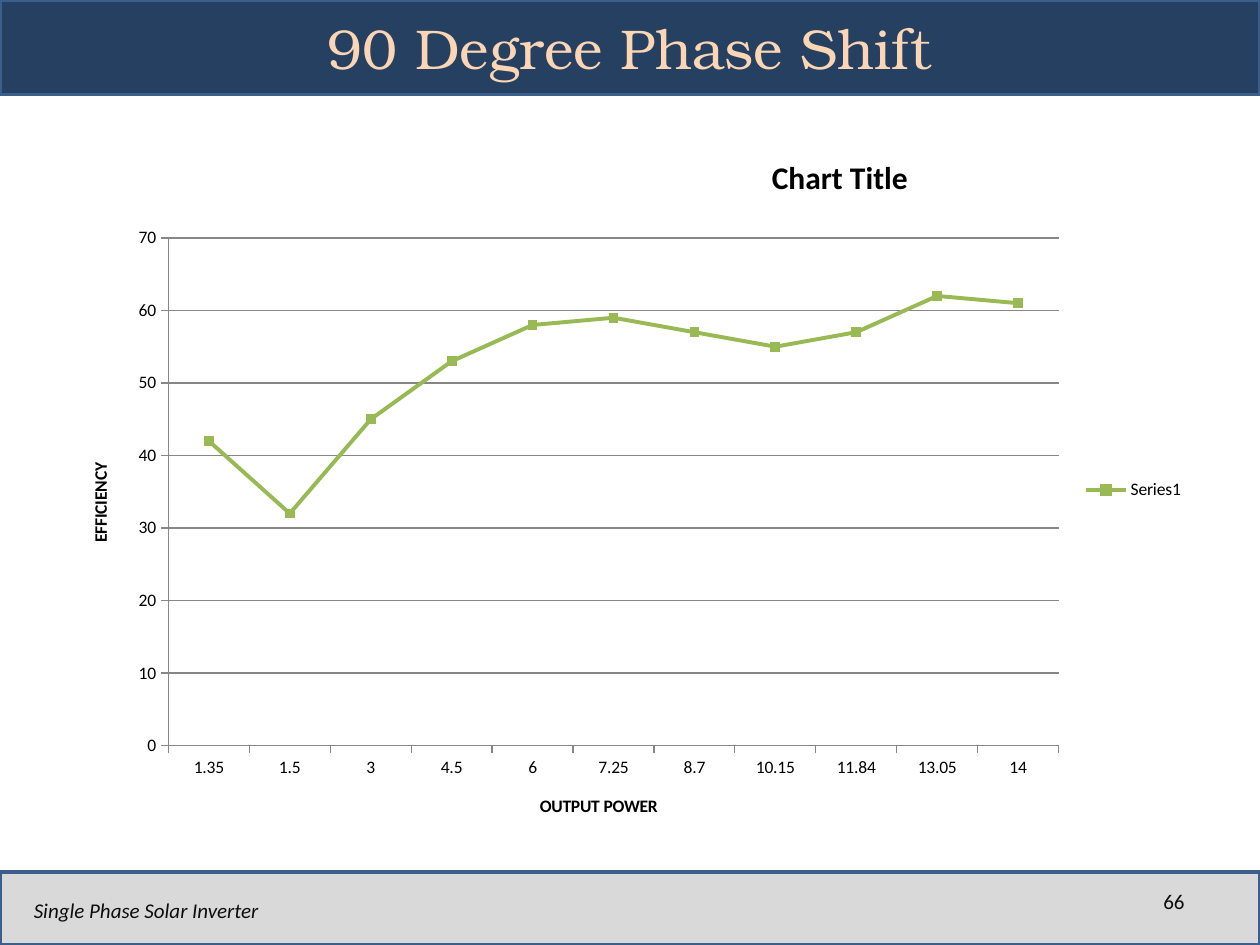
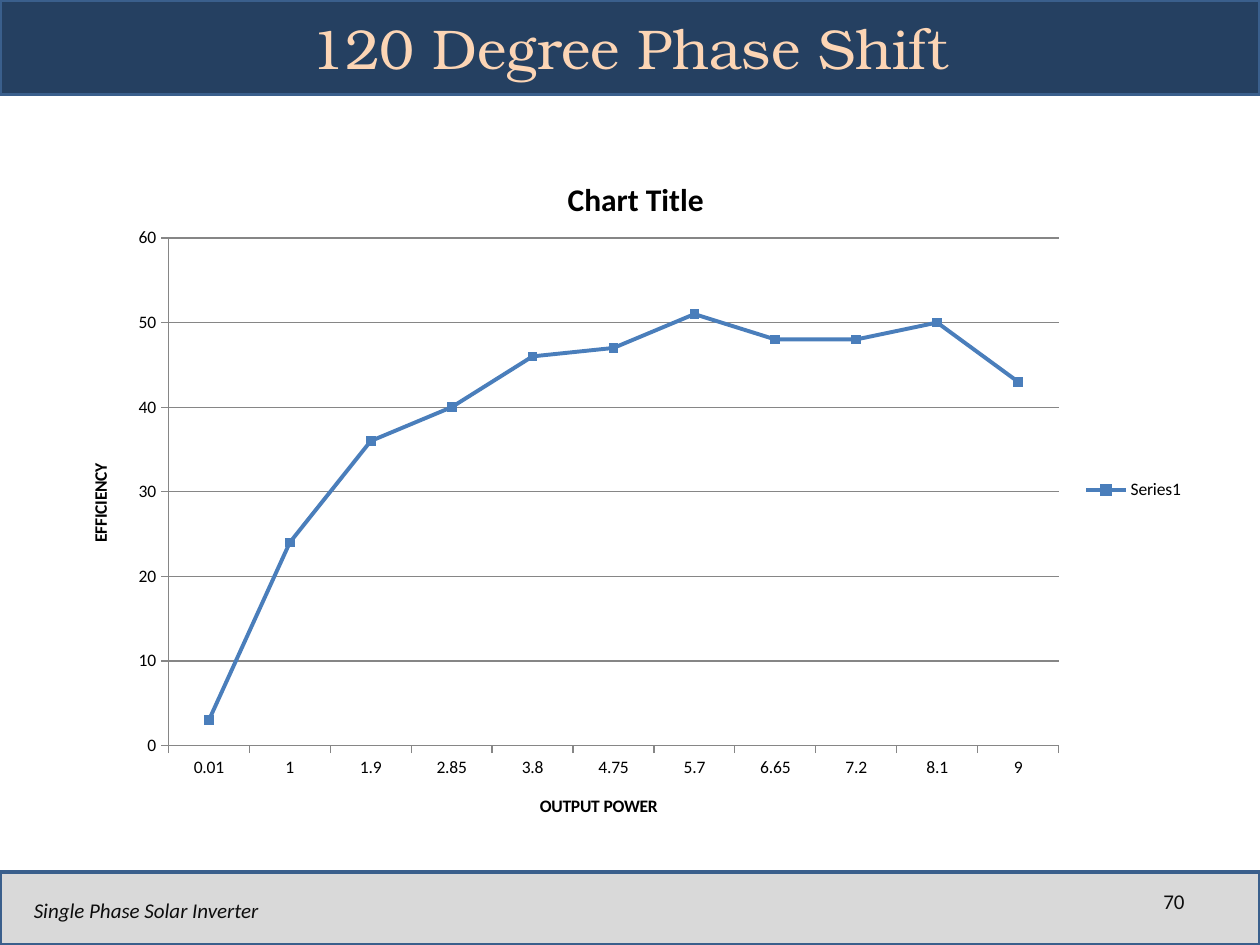
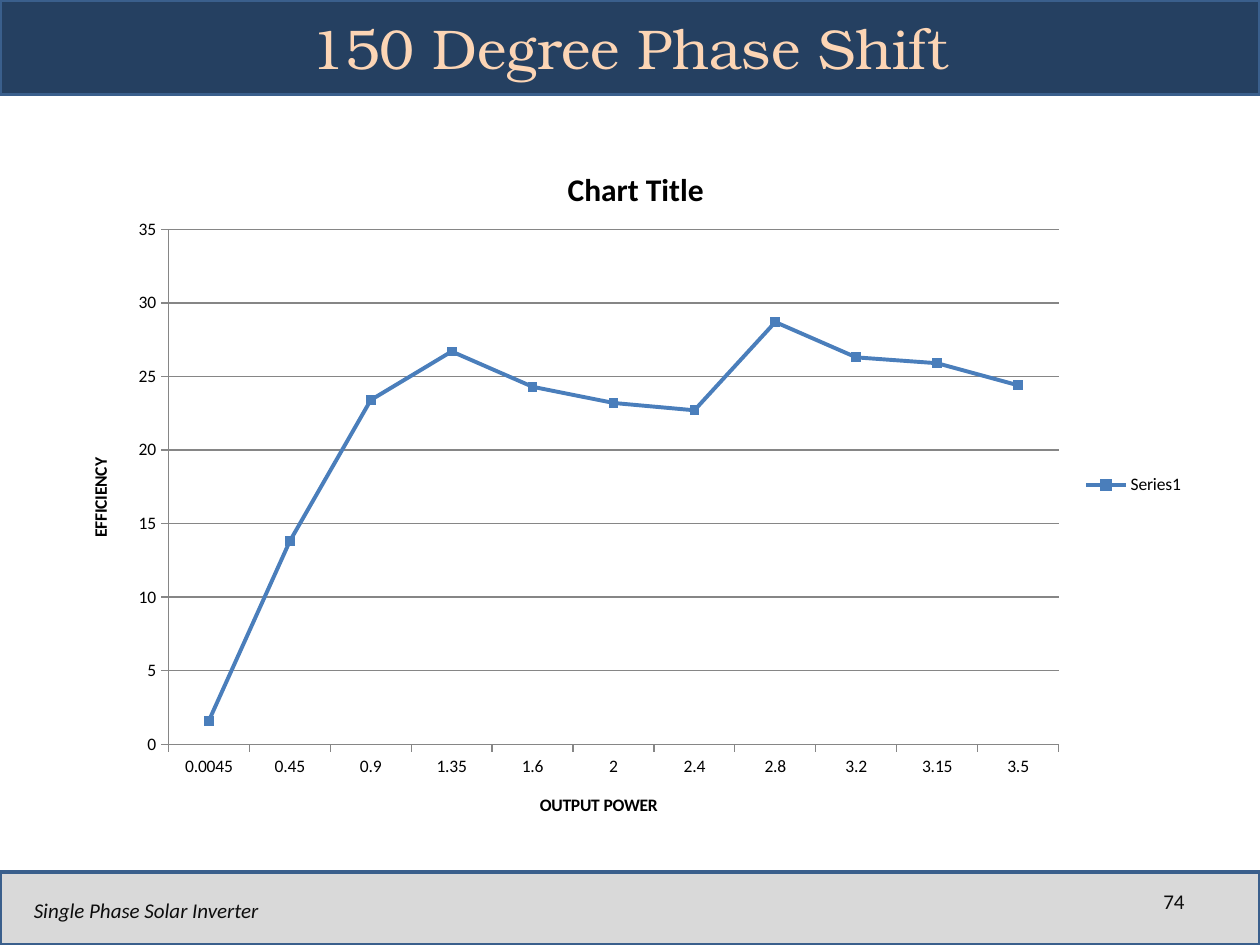
from lxml import etree
from pptx import Presentation
from pptx.chart.data import CategoryChartData
from pptx.dml.color import RGBColor
from pptx.enum.chart import XL_CHART_TYPE, XL_LEGEND_POSITION, XL_MARKER_STYLE, XL_TICK_MARK
from pptx.enum.shapes import MSO_SHAPE
from pptx.enum.text import MSO_ANCHOR, PP_ALIGN
from pptx.oxml import parse_xml
from pptx.oxml.ns import nsdecls, qn
from pptx.util import Inches, Pt

NAVY, GREY, EDGE = "254061", "D9D9D9", "3A5F8C"
PEACH, INK, BLACK, RULE = "FCD5B5", "0D0D0D", "000000", "868686"
BLUE, GREEN = "4A7EBB", "98B954"
TITLE_FONT, BODY_FONT = "TeX Gyre Bonum", "Calibri"

HEADER = (0, 0, 10, 0.75)
FOOTER = (0, 6.92, 10, 0.58)

SLIDES = [
    {
        "title": "90 Degree Phase Shift", "number": "66", "color": GREEN,
        "box": (0.5, 1.08, 9, 5.62), "title_at": (0.62, 0.02),
        "power": ["1.35", "1.5", "3", "4.5", "6", "7.25", "8.7", "10.15", "11.84", "13.05", "14"],
        "efficiency": [42, 32, 45, 53, 58, 59, 57, 55, 57, 62, 61],
    },
    {
        "title": "120 Degree Phase Shift", "number": "70", "color": BLUE,
        "box": (0.5, 1.08, 9, 5.62), "title_at": (0.44, 0.05),
        "power": ["0.01", "1", "1.9", "2.85", "3.8", "4.75", "5.7", "6.65", "7.2", "8.1", "9"],
        "efficiency": [3, 24, 36, 40, 46, 47, 51, 48, 48, 50, 43],
    },
    {
        "title": "150 Degree Phase Shift", "number": "74", "color": BLUE,
        "box": (0.5, 1, 9, 5.7), "title_at": (0.44, 0.05),
        "power": ["0.0045", "0.45", "0.9", "1.35", "1.6", "2", "2.4", "2.8", "3.2", "3.15", "3.5"],
        "efficiency": [1.6, 13.8, 23.4, 26.7, 24.3, 23.2, 22.7, 28.7, 26.3, 25.9, 24.4],
    },
]


def rgb(color):
    return RGBColor.from_string(color)


def inches(box):
    return [Inches(length) for length in box]


def style(font, name, size, color, bold=False, italic=False):
    font.name, font.size = name, Pt(size)
    font.bold, font.italic = bold, italic
    font.color.rgb = rgb(color)


def write(frame, text, align, name, size, color, italic=False):
    frame.word_wrap = True
    frame.vertical_anchor = MSO_ANCHOR.MIDDLE
    para = frame.paragraphs[0]
    para.alignment = align
    span = para.add_run()
    span.text = text
    style(span.font, name, size, color, italic=italic)


def add_master_bands(deck, page):
    tree = deck.slide_master.shapes.element
    for box, fill in ((HEADER, NAVY), (FOOTER, GREY)):
        band = page.shapes.add_shape(MSO_SHAPE.RECTANGLE, *inches(box))
        band.shadow.inherit = False
        band.fill.solid()
        band.fill.fore_color.rgb = rgb(fill)
        band.line.color.rgb = rgb(EDGE)
        band.line.width = Pt(2)
        tree.insert(2, band.element)


def add_title(page, text, box):
    left, top, width, height = box
    title = page.shapes.title
    title.left, title.top, title.width, title.height = inches((left + 0.5, top, width - 1, height))
    write(title.text_frame, text, PP_ALIGN.CENTER, TITLE_FONT, 32, PEACH)


def add_footer(page, number, box):
    left, top, width, height = box
    number_box = page.shapes.add_textbox(*inches((left + width - 1.5, top + 0.03, 1, 0.4)))
    write(number_box.text_frame, number, PP_ALIGN.RIGHT, BODY_FONT, 12, INK)
    name_box = page.shapes.add_textbox(*inches((left + 0.17, top + 0.1, 3.17, 0.4)))
    write(name_box.text_frame, "Single Phase Solar Inverter", PP_ALIGN.LEFT,
          BODY_FONT, 12, INK, italic=True)


def place(element, **settings):
    for old in element.findall(qn("c:layout")):
        element.remove(old)
    layout = parse_xml(f"<c:layout {nsdecls('c')}><c:manualLayout/></c:layout>")
    for tag, value in settings.items():
        etree.SubElement(layout[0], qn(f"c:{tag}")).set("val", str(value))
    return layout


def add_heading(frame, text, size):
    span = frame.paragraphs[0].add_run()
    span.text = text
    style(span.font, BODY_FONT, size, BLACK, bold=True)


def style_axis(axis, heading):
    axis.major_tick_mark = XL_TICK_MARK.OUTSIDE
    axis.minor_tick_mark = XL_TICK_MARK.NONE
    axis.format.line.color.rgb = rgb(RULE)
    axis.format.line.width = Pt(0.75)
    add_heading(axis.axis_title.text_frame, heading, 10)


def add_efficiency_chart(page, content):
    data = CategoryChartData()
    data.categories = content["power"]
    data.add_series("Series1", content["efficiency"])
    chart = page.shapes.add_chart(
        XL_CHART_TYPE.LINE_MARKERS_STACKED, *inches(content["box"]), data).chart
    style(chart.font, BODY_FONT, 10, BLACK)

    title = chart.chart_title
    add_heading(title.text_frame, "Chart Title", 18)
    title.include_in_layout = False
    x, y = content["title_at"]
    layout = place(title.element, xMode="edge", yMode="edge", x=x, y=y)
    title.element.find(qn("c:tx")).addnext(layout)

    plot_area = chart.element.find(".//" + qn("c:plotArea"))
    plot_area.insert(0, place(plot_area, layoutTarget="inner", xMode="edge", yMode="edge",
                              x=0.093, y=0.144, w=0.785, h=0.717))

    chart.has_legend = True
    chart.legend.position = XL_LEGEND_POSITION.RIGHT
    chart.legend.include_in_layout = False

    style_axis(chart.category_axis, "OUTPUT POWER")
    style_axis(chart.value_axis, "EFFICIENCY")
    chart.value_axis.has_major_gridlines = True
    grid = chart.value_axis.major_gridlines.format.line
    grid.color.rgb = rgb(RULE)
    grid.width = Pt(0.75)

    plot = chart.plots[0]
    plot.vary_by_categories = False
    series = plot.series[0]
    series.smooth = False
    series.format.line.color.rgb = rgb(content["color"])
    series.format.line.width = Pt(2.25)
    series.marker.style = XL_MARKER_STYLE.SQUARE
    series.marker.size = 5
    series.marker.format.fill.solid()
    series.marker.format.fill.fore_color.rgb = rgb(content["color"])
    series.marker.format.line.color.rgb = rgb(content["color"])


def main():
    deck = Presentation()
    deck.slide_width, deck.slide_height = Inches(10), Inches(7.5)
    for index, content in enumerate(SLIDES):
        page = deck.slides.add_slide(deck.slide_layouts[5])
        if index == 0:
            add_master_bands(deck, page)
        add_title(page, content["title"], HEADER)
        add_footer(page, content["number"], FOOTER)
        add_efficiency_chart(page, content)
    deck.save("out.pptx")


if __name__ == "__main__":
    main()
